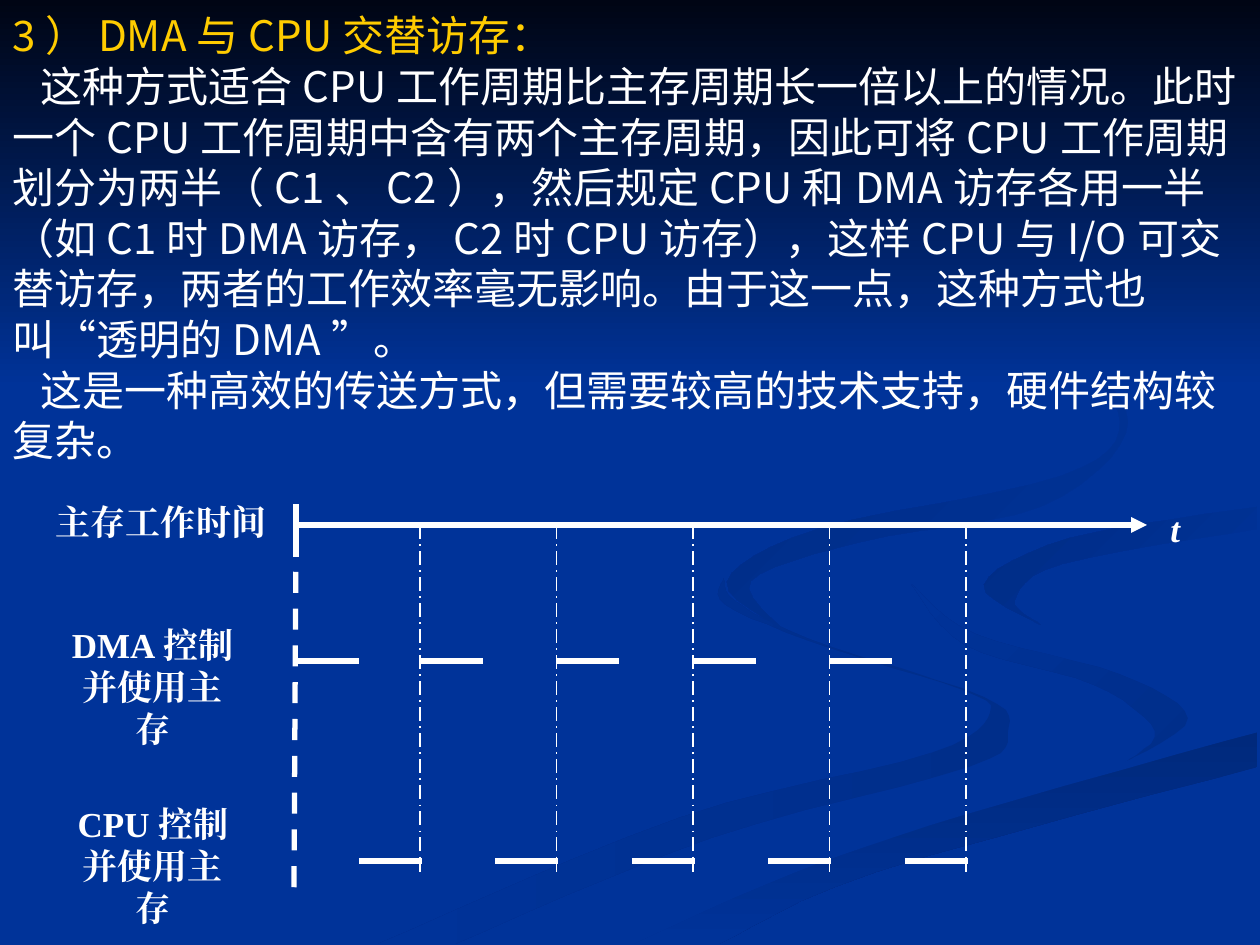
"""Build the slide on DMA and CPU taking turns to access main memory."""
from lxml.etree import SubElement
from pptx import Presentation
from pptx.dml.color import RGBColor
from pptx.enum.dml import MSO_LINE
from pptx.enum.lang import MSO_LANGUAGE_ID
from pptx.enum.shapes import MSO_CONNECTOR
from pptx.enum.text import MSO_ANCHOR, MSO_AUTO_SIZE, PP_ALIGN
from pptx.oxml.ns import qn
from pptx.util import Inches, Pt

PX = Inches(1) / 126
WIDTH, HEIGHT = 1260, 945
WHITE = RGBColor(0xFF, 0xFF, 0xFF)
GOLD = RGBColor(0xFF, 0xCC, 0x00)
BLUE = RGBColor(0x00, 0x33, 0x99)
NIGHT = RGBColor(0x00, 0x05, 0x14)
SHADE_A = RGBColor(0x00, 0x2E, 0x8A)
SHADE_B = RGBColor(0x00, 0x29, 0x7C)
SHADE_C = RGBColor(0x00, 0x2C, 0x85)
SHADE_D = RGBColor(0x00, 0x2B, 0x81)
SANS, SERIF = "Noto Sans CJK SC", "Times New Roman"

HEADING = "3）DMA与CPU交替访存："
BODY = [
    "这种方式适合CPU工作周期比主存周期长一倍以上的情况。此时一个CPU工作周期中含有两个主存周期，"
    "因此可将CPU工作周期划分为两半（C1、C2），然后规定CPU和DMA访存各用一半"
    "（如C1时DMA访存，C2时CPU访存），这样CPU与I/O可交替访存，两者的工作效率毫无影响。"
    "由于这一点，这种方式也叫“透明的DMA”。",
    "这是一种高效的传送方式，但需要较高的技术支持，硬件结构较复杂。",
]
LABELS = [
    (["主存工作时间"], (43, 494, 236, 55), False),
    (["DMA控制", "并使用主存"], (53, 617, 200, 97), False),
    (["CPU控制", "并使用主存"], (53, 796, 200, 97), False),
    (["t"], (1158, 501, 34, 55), True),
]
AXIS_X, AXIS_Y, AXIS_END = 296, 525, 1147
GUIDE_START, GUIDE_END, GUIDE_COUNT = 420, 872, 5
PERIOD = 136.5
SLOT_WIDTH = 63
DMA_Y, CPU_Y = 661, 861

SWIRLS = [
    (SHADE_A, BLUE, 180, [
        [(724, 578), (726, 605), (824, 646), (960, 689), (990, 713), (931, 753), (679, 818),
         (378, 944)],
        [(455, 944), (711, 838), (969, 767), (1008, 732), (984, 697), (809, 639), (735, 601),
         (724, 578)]]),
    (SHADE_A, BLUE, 225, [
        [(912, 585), (965, 645), (1094, 685), (1155, 731), (1126, 762)],
        [(1126, 762), (1188, 718), (1119, 674), (975, 634), (912, 585)]]),
    (SHADE_B, BLUE, 90, [
        [(634, 944), (719, 944)],
        [(719, 944), (876, 872), (1257, 767)],
        [(1257, 732), (963, 815), (794, 873), (634, 944)]]),
    (BLUE, BLUE, None, [
        [(914, 585), (977, 634), (1120, 674), (1188, 718), (1124, 762), (887, 825), (601, 944)],
        [(634, 944), (794, 873), (964, 815), (1259, 732)],
        [(1259, 678), (1091, 641), (984, 583), (1071, 538), (1259, 507)],
        [(1259, 488), (993, 532), (914, 585)]]),
    (BLUE, SHADE_C, 225, [
        [(1041, 625), (984, 585), (1070, 538), (1257, 507)],
        [(1257, 529), (1062, 564), (1015, 600), (1041, 625)]]),
    (BLUE, SHADE_D, 225, [
        [(960, 294), (1089, 367), (1126, 433), (1040, 507), (861, 542), (751, 581), (784, 630)],
        [(784, 630), (727, 582), (818, 529), (1061, 476), (1120, 422), (1066, 352),
         (960, 294)]]),
    (NIGHT, BLUE, 90, [[(0, 0), (WIDTH, 0)], [(WIDTH, 388), (0, 388)]]),
]


def emu(*lengths):
    return [round(length * PX) for length in lengths]


def smooth_side(points, steps=6):
    if len(points) == 2:
        return points
    padded = [points[0], *points, points[-1]]
    curve = [points[0]]
    for before, start, end, after in zip(padded, padded[1:], padded[2:], padded[3:]):
        for step in range(1, steps + 1):
            t = step / steps
            curve.append(tuple(
                b + t * (c - a + t * (2 * a - 5 * b + 4 * c - d + t * (3 * (b - c) + d - a))) / 2
                for a, b, c, d in zip(before, start, end, after)))
    return curve


def add_swirl(slide, first, last, angle, sides):
    points = [point for side in sides for point in smooth_side(side)]
    builder = slide.shapes.build_freeform(*points[0], scale=PX)
    builder.add_line_segments(points[1:], close=True)
    shape = builder.convert_to_shape()
    shape.shadow.inherit = False
    shape.line.fill.background()
    if angle is None:
        shape.fill.solid()
        shape.fill.fore_color.rgb = first
        return
    shape.fill.gradient()
    shape.fill.gradient_angle = 360 - angle
    for stop, color in zip(shape.fill.gradient_stops, (first, last)):
        stop.color.rgb = color


def add_line(slide, start, end, width=3, dash=None, arrow=False):
    line = slide.shapes.add_connector(MSO_CONNECTOR.STRAIGHT, *emu(*start, *end))
    line.line.color.rgb = WHITE
    line.line.width = Pt(width)
    if dash:
        line.line.dash_style = dash
    properties = line.element.spPr
    if arrow:
        SubElement(properties.find(qn("a:ln")), qn("a:tailEnd"), type="triangle")
    SubElement(properties, qn("a:effectLst"))


def format_runs(paragraph, size, typeface, color, bold=False, italic=False):
    for run in paragraph.runs:
        font = run.font
        font.size, font.name, font.bold, font.italic = Pt(size), typeface, bold, italic
        font.color.rgb = color
        font.language_id = MSO_LANGUAGE_ID.SIMPLIFIED_CHINESE
        SubElement(run._r.get_or_add_rPr(), qn("a:ea"), typeface=typeface)


def fill_placeholder(slide, shape, lines, box, color, indent):
    slide.shapes.element.append(shape.element)
    shape.left, shape.top, shape.width, shape.height = emu(*box)
    frame = shape.text_frame
    frame.text = "\n".join(lines)
    frame.word_wrap = True
    frame.auto_size = MSO_AUTO_SIZE.NONE
    frame.vertical_anchor = MSO_ANCHOR.TOP
    for paragraph in frame.paragraphs:
        properties = paragraph._p.get_or_add_pPr()
        properties.set("marL", "0")
        properties.set("indent", str(emu(indent)[0]))
        SubElement(properties, qn("a:buNone"))
        paragraph.alignment = PP_ALIGN.LEFT
        paragraph.space_before = Pt(0)
        paragraph.line_spacing = Pt(28.9)
        format_runs(paragraph, 24, SANS, color)


def add_label(slide, lines, box, italic):
    frame = slide.shapes.add_textbox(*emu(*box)).text_frame
    frame.text = "\n".join(lines)
    frame.word_wrap = False
    for paragraph in frame.paragraphs:
        paragraph.alignment = PP_ALIGN.CENTER
        format_runs(paragraph, 20, SERIF, WHITE, bold=True, italic=italic)


def main():
    presentation = Presentation()
    presentation.slide_width, presentation.slide_height = emu(WIDTH, HEIGHT)
    slide = presentation.slides.add_slide(presentation.slide_layouts[1])
    slide.background.fill.solid()
    slide.background.fill.fore_color.rgb = BLUE
    title, body = slide.placeholders
    for swirl in SWIRLS:
        add_swirl(slide, *swirl)
    fill_placeholder(slide, title, [HEADING], (0, 3, WIDTH, 63), GOLD, 0)
    fill_placeholder(slide, body, BODY, (0, 54, WIDTH, 418), WHITE, 28)
    for label in LABELS:
        add_label(slide, *label)
    add_line(slide, (AXIS_X, 504), (AXIS_X, 557))
    add_line(slide, (AXIS_X, AXIS_Y), (AXIS_END, AXIS_Y), arrow=True)
    add_line(slide, (AXIS_X, 535), (AXIS_X - 2, 892), dash=MSO_LINE.DASH)
    guides = [GUIDE_START + PERIOD * index for index in range(GUIDE_COUNT)]
    for dma_x, guide_x in zip([AXIS_X, *guides], guides):
        cpu_x = guide_x - SLOT_WIDTH + 2
        add_line(slide, (dma_x, DMA_Y), (dma_x + SLOT_WIDTH, DMA_Y))
        add_line(slide, (cpu_x, CPU_Y), (cpu_x + SLOT_WIDTH, CPU_Y))
        add_line(slide, (guide_x, AXIS_Y), (guide_x, GUIDE_END), 1, MSO_LINE.LONG_DASH_DOT)
    presentation.save("out.pptx")


if __name__ == "__main__":
    main()
